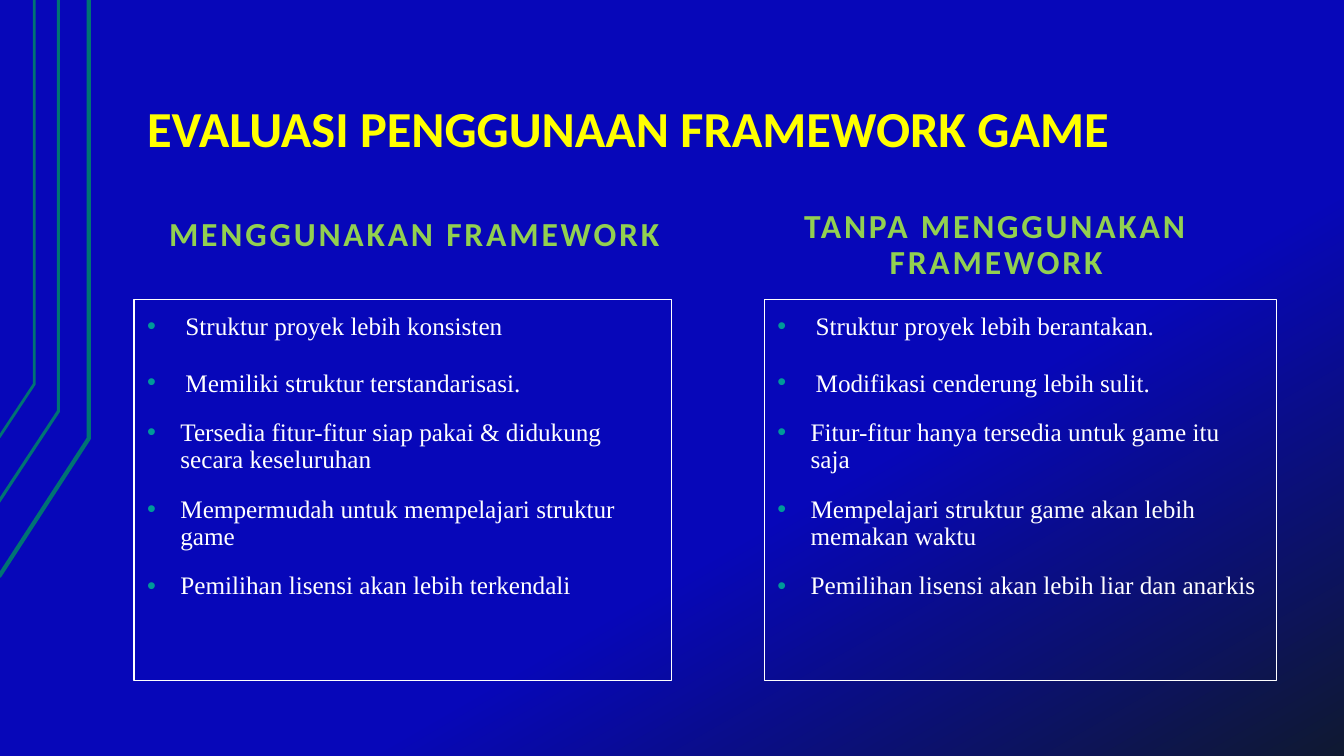
from pptx import Presentation
from pptx.dml.color import RGBColor
from pptx.enum.text import MSO_ANCHOR, MSO_AUTO_SIZE, PP_ALIGN
from pptx.util import Inches, Pt
from lxml.etree import SubElement
from pptx.oxml.ns import qn


def rgb(value):
    return RGBColor.from_string(value)


def format_box(sp, anchor):
    tf = sp.text_frame
    values = {
        "word_wrap": True, "auto_size": MSO_AUTO_SIZE.NONE, "vertical_anchor": anchor,
        "margin_left": Inches(0.13), "margin_right": Inches(0.13),
        "margin_top": Inches(0.07), "margin_bottom": Inches(0.07),
    }
    for name, value in values.items():
        setattr(tf, name, value)
    return tf


prs = Presentation()
prs.slide_width, prs.slide_height = Inches(13.33), Inches(7.5)
s = prs.slides.add_slide(prs.slide_layouts[5])

fill = s.background.fill
fill.gradient()
fill.gradient_angle = 300
for stop, (position, color) in zip(fill.gradient_stops, [(0.63, "0707B9"), (1, "0F1931")]):
    stop.position = position
    stop.color.rgb = rgb(color)

for x, bend, left, end, width in [
    (0.88, 4.35, -0.01, 5.72, 3),
    (0.58, 4.08, -0.02, 4.99, 2.25),
    (0.34, 3.81, -0.01, 4.34, 2),
]:
    fb = s.shapes.build_freeform(Inches(left), Inches(end))
    fb.add_line_segments([(Inches(x), Inches(bend)), (Inches(x), 0)], close=False)
    sp = fb.convert_to_shape()
    sp.shadow.inherit = False
    sp.fill.background()
    sp.line.color.rgb = rgb("007373")
    sp.line.width = Pt(width)

title = s.shapes.title
title.left, title.top, title.width, title.height = [Inches(v) for v in (1.33, 0.64, 11.33, 1)]
headings = [(title, "EVALUASI PENGGUNAAN FRAMEWORK GAME", PP_ALIGN.LEFT, 36, "FFFF00", 0)]

columns = [
    ("MENGGUNAKAN FRAMEWORK", 1.33, 0.72, 1.33, 5.33, [
        "Struktur proyek lebih konsisten",
        "Memiliki struktur terstandarisasi.",
        "Tersedia fitur-fitur siap pakai & didukung secara keseluruhan",
        "Mempermudah untuk mempelajari struktur game",
        "Pemilihan lisensi akan lebih terkendali",
    ]),
    ("TANPA MENGGUNAKAN FRAMEWORK", 7.1, 1, 7.58, 5.08, [
        "Struktur proyek lebih berantakan.",
        "Modifikasi cenderung lebih sulit.",
        "Fitur-fitur hanya tersedia untuk game itu saja",
        "Mempelajari struktur game akan lebih memakan waktu",
        "Pemilihan lisensi akan lebih liar dan anarkis",
    ]),
]

for heading, head_left, head_height, left, width, points in columns:
    sp = s.shapes.add_textbox(Inches(head_left), Inches(1.87), Inches(5.56), Inches(head_height))
    headings.append((sp, heading, PP_ALIGN.CENTER, 24, "92D050", 200))

    sp = s.shapes.add_textbox(Inches(left), Inches(2.97), Inches(width), Inches(3.78))
    sp.line.color.rgb = rgb("FFFFFF")
    sp.line.width = Pt(1)
    tf = format_box(sp, MSO_ANCHOR.TOP)
    for i, point in enumerate(points):
        p = tf.paragraphs[0] if i == 0 else tf.add_paragraph()
        indent, spacing = (0.38, 1.13) if i < 2 else (0.33, 0.9)
        p.line_spacing = spacing
        p.space_before = Pt(16 if i else 0)
        pPr = p._p.get_or_add_pPr()
        pPr.set("marL", str(Inches(indent)))
        pPr.set("indent", str(-Inches(indent)))
        SubElement(SubElement(pPr, qn("a:buClr")), qn("a:srgbClr"), val="009999")
        SubElement(pPr, qn("a:buFont"), typeface="Arial")
        SubElement(pPr, qn("a:buChar"), char="•")
        r = p.add_run()
        r.text = point
        for name, value in {"name": "Times New Roman", "size": Pt(18)}.items():
            setattr(r.font, name, value)
        r.font.color.rgb = rgb("FFFFFF")

for sp, text, align, size, color, tracking in headings:
    p = format_box(sp, MSO_ANCHOR.BOTTOM).paragraphs[0]
    p.alignment = align
    p.line_spacing = 0.9
    r = p.add_run()
    r.text = text
    for name, value in {"name": "Calibri", "size": Pt(size), "bold": True}.items():
        setattr(r.font, name, value)
    r.font.color.rgb = rgb(color)
    r.font._element.set("spc", str(tracking))

prs.save("out.pptx")
